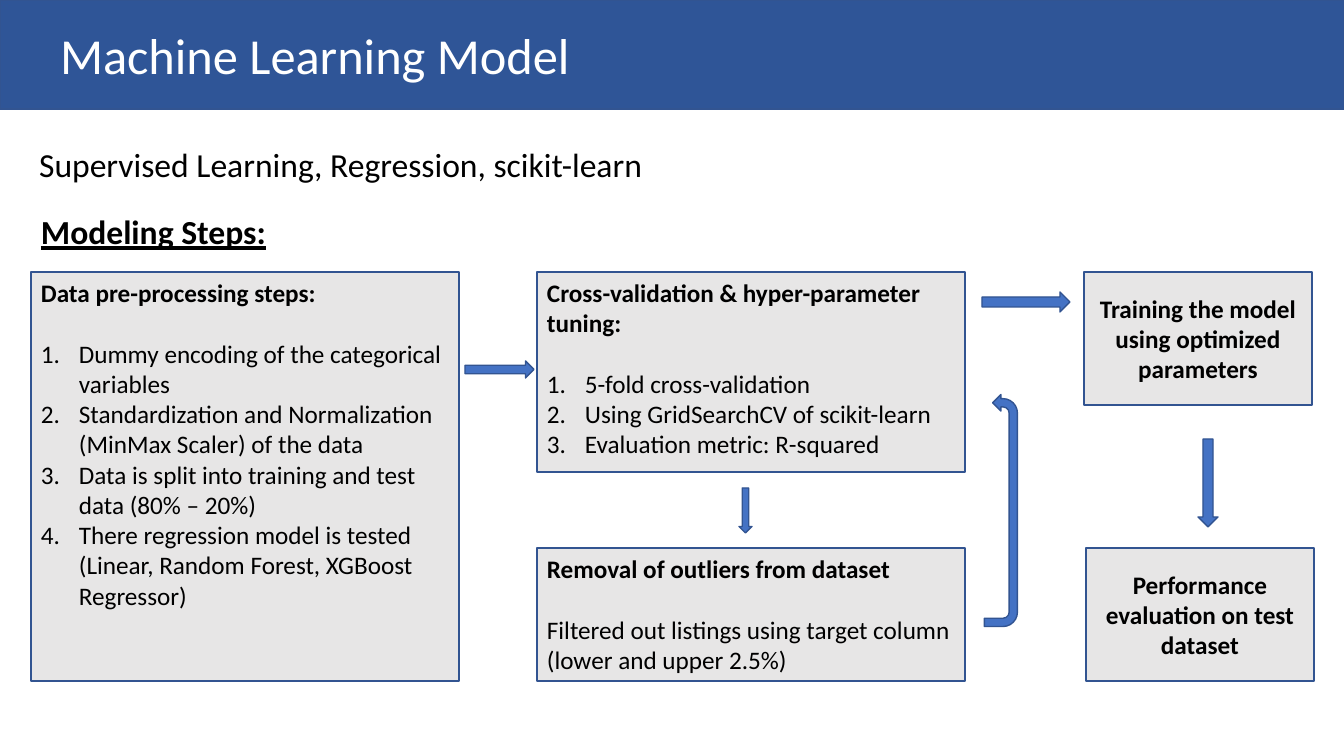
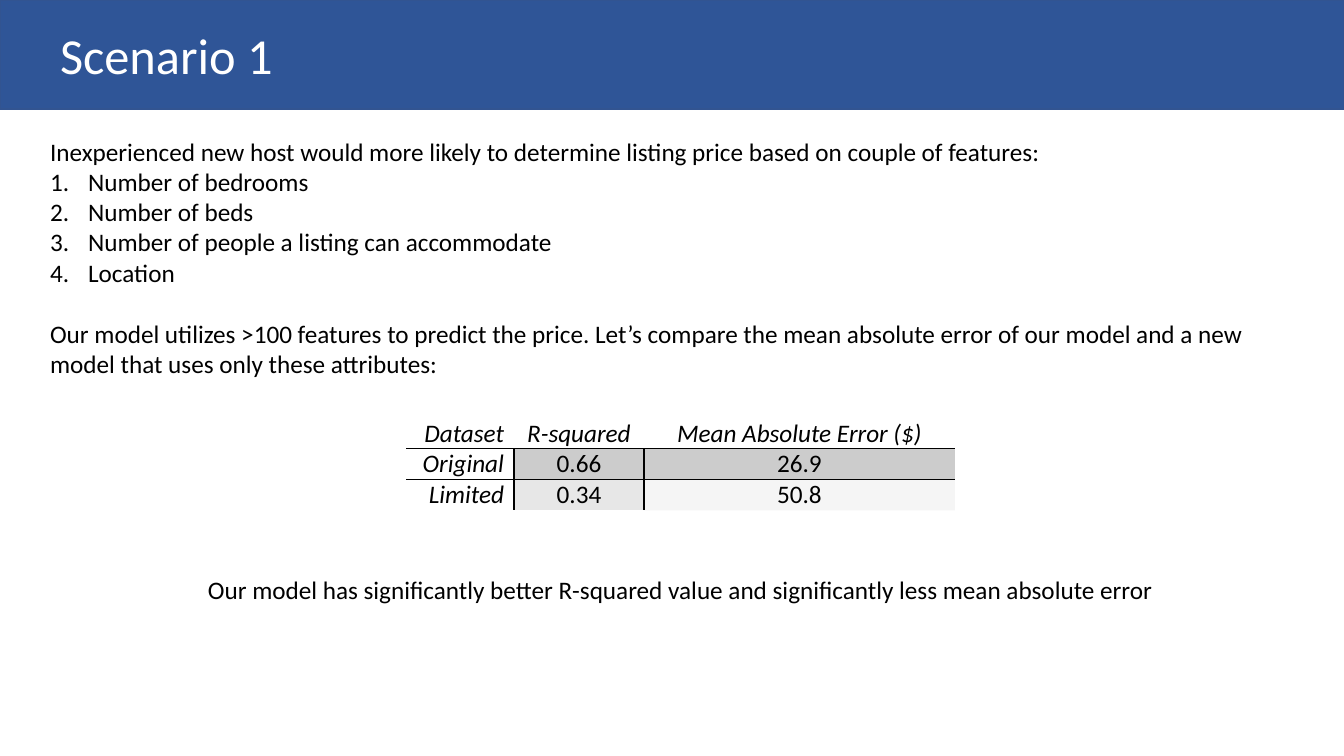
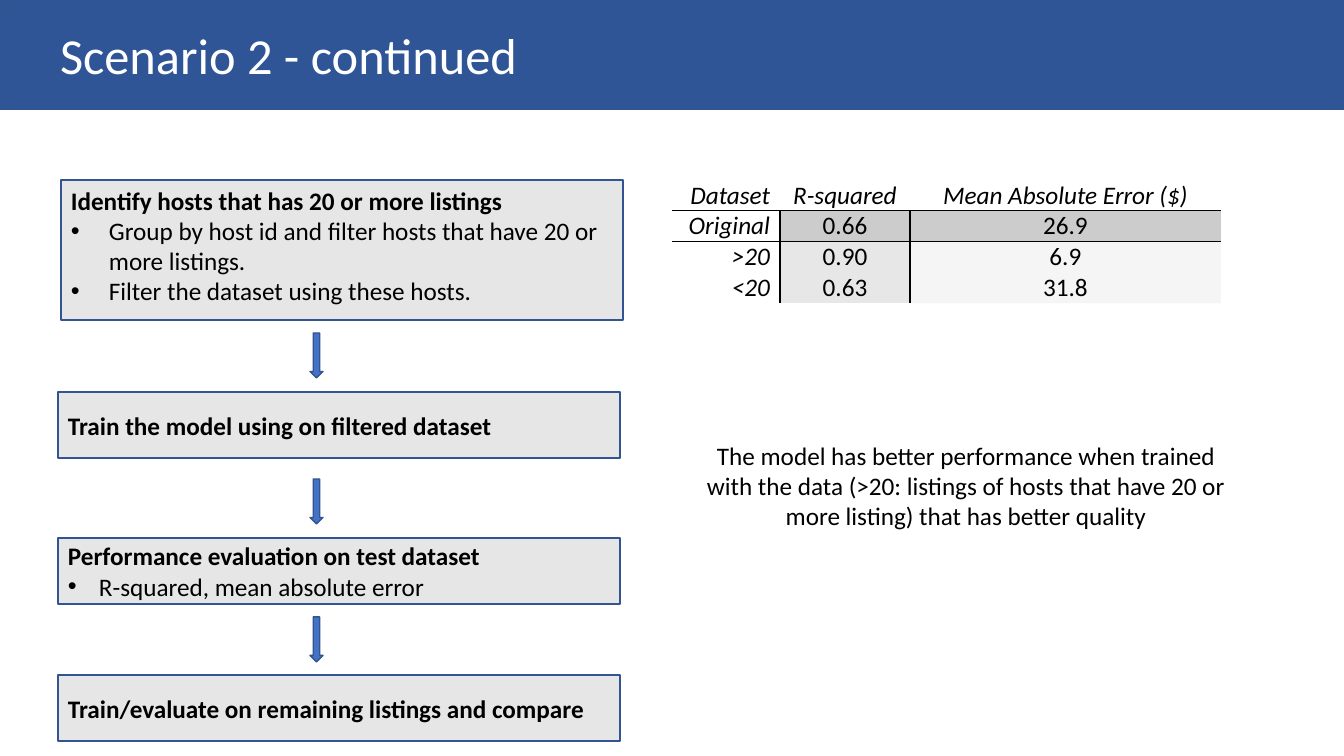
from lxml.etree import SubElement
from pptx import Presentation
from pptx.dml.color import RGBColor
from pptx.enum.shapes import MSO_SHAPE
from pptx.enum.text import MSO_ANCHOR, MSO_AUTO_SIZE, PP_ALIGN
from pptx.oxml.ns import qn
from pptx.util import Emu, Pt

EMU_PER_PX = 914400 / 100.8
WIDTH, HEIGHT, BAND_HEIGHT = 1344, 756, 109
FONT = "Calibri"
BLACK, WHITE = "000000", "FFFFFF"
NAVY, OUTLINE, BLUE, GRAY = "2F5597", "325491", "4472C4", "E7E6E6"
FIRST_ROW, OTHER_ROWS = "CCCCCC", "E7E7E7"
ROW_OPACITY = 40
TITLE_AND_BODY, TITLE_ONLY = 1, 5
NO_GRID_STYLE = "{2D5ABB26-0587-4C30-8999-92F81FD0307C}"
LIST_INDENT = 38
BLANK_LINE = 22
COLUMN_WIDTHS = (108, 130, 311)
ROW_HEIGHT = 30


def px(length):
    return Emu(round(length * EMU_PER_PX))


def color(value):
    return RGBColor.from_string(value)


def place(shape, left, top, width, height):
    shape.left, shape.top = px(left), px(top)
    shape.width, shape.height = px(width), px(height)


def paint(shape, fill):
    shape.fill.solid()
    shape.fill.fore_color.rgb = color(fill)
    shape.line.color.rgb = color(OUTLINE)
    shape.line.width = Pt(1)


def add_bullet(properties, bullet):
    if bullet is None:
        SubElement(properties, qn("a:buNone"))
    elif bullet == "1.":
        SubElement(properties, qn("a:buFont"), typeface="+mj-lt")
        SubElement(properties, qn("a:buAutoNum"), type="arabicPeriod")
    else:
        SubElement(properties, qn("a:buFont"), typeface="Arial")
        SubElement(properties, qn("a:buChar"), char=bullet)


def write(frame, text, size=18, fill=BLACK, bold=False, italic=False, underline=False,
          align=PP_ALIGN.LEFT, bullet=None, indent=LIST_INDENT, before=0):
    first = frame.paragraphs[0]
    paragraph = frame.add_paragraph() if first.text else first
    paragraph.alignment = align
    paragraph.space_before = Pt(before)
    properties = paragraph._p.get_or_add_pPr()
    hanging = px(indent) if bullet else 0
    properties.set("marL", str(hanging))
    properties.set("indent", str(-hanging))
    add_bullet(properties, bullet)
    run = paragraph.add_run()
    run.text = text
    font = run.font
    font.name, font.size = FONT, Pt(size)
    font.bold, font.italic, font.underline = bold, italic, underline
    font.color.rgb = color(fill)


def write_list(frame, items, bullet, before=0, indent=LIST_INDENT):
    for index, item in enumerate(items):
        write(frame, item, bullet=bullet, indent=indent, before=0 if index else before)


def add_slide(presentation, title, layout=TITLE_ONLY):
    slide = presentation.slides.add_slide(presentation.slide_layouts[layout])
    band = slide.shapes.title
    place(band, 0, 0, WIDTH, BAND_HEIGHT)
    paint(band, NAVY)
    frame = band.text_frame
    frame.auto_size = MSO_AUTO_SIZE.NONE
    frame.vertical_anchor = MSO_ANCHOR.MIDDLE
    frame.margin_left = px(60)
    write(frame, title, size=36, fill=WHITE)
    return slide


def body_frame(slide, *bounds):
    body = slide.placeholders[1]
    place(body, *bounds)
    body.text_frame.auto_size = MSO_AUTO_SIZE.NONE
    return body.text_frame


def add_label(slide, bounds, text, wrap=True, **text_format):
    frame = slide.shapes.add_textbox(*map(px, bounds)).text_frame
    frame.word_wrap = wrap
    write(frame, text, **text_format)


def add_box(slide, bounds, heading, middle=False, align=PP_ALIGN.LEFT):
    box = slide.shapes.add_shape(MSO_SHAPE.RECTANGLE, *map(px, bounds))
    box.shadow.inherit = False
    paint(box, GRAY)
    frame = box.text_frame
    frame.word_wrap = True
    frame.vertical_anchor = MSO_ANCHOR.MIDDLE if middle else MSO_ANCHOR.TOP
    write(frame, heading, bold=True, align=align)
    return frame


def add_arrow(slide, *bounds, down=False, kind=MSO_SHAPE.RIGHT_ARROW):
    arrow = slide.shapes.add_shape(kind, *map(px, bounds))
    arrow.shadow.inherit = False
    arrow.rotation = 90 if down else 0
    paint(arrow, BLUE)
    return arrow


def add_border(cell, side):
    line = SubElement(cell._tc.get_or_add_tcPr(), qn(f"a:ln{side}"), w=str(Pt(1)))
    fill = SubElement(line, qn("a:solidFill"))
    SubElement(fill, qn("a:srgbClr"), val=BLACK)


def fill_cell(cell, fill):
    cell.fill.solid()
    cell.fill.fore_color.rgb = color(fill)
    tint = cell._tc.tcPr.find(".//" + qn("a:srgbClr"))
    SubElement(tint, qn("a:alpha"), val=str(ROW_OPACITY * 1000))


def format_cell(cell, text, row, column):
    label = row == 0 or column == 0
    cell.margin_left = cell.margin_right = px(10)
    cell.margin_top = cell.margin_bottom = 0
    write(cell.text_frame, text, italic=label,
          align=PP_ALIGN.CENTER if column else PP_ALIGN.RIGHT)
    borders = (("L", row and column == 1), ("R", row and column == 0),
               ("T", row == 1), ("B", row == 0))
    for side, shown in borders:
        if shown:
            add_border(cell, side)
    if label:
        cell.fill.background()
    else:
        fill_cell(cell, FIRST_ROW if row == 1 else OTHER_ROWS)


def add_score_table(slide, left, top, scores):
    rows = [("Dataset", "R-squared", "Mean Absolute Error ($)"),
            ("Original", "0.66", "26.9"), *scores]
    bounds = (left, top, sum(COLUMN_WIDTHS), ROW_HEIGHT * len(rows))
    table = slide.shapes.add_table(len(rows), len(COLUMN_WIDTHS), *map(px, bounds)).table
    table.first_row = table.horz_banding = False
    table._tbl.tblPr.find(qn("a:tableStyleId")).text = NO_GRID_STYLE
    for column, width in zip(table.columns, COLUMN_WIDTHS):
        column.width = px(width)
    for row, values in enumerate(rows):
        table.rows[row].height = px(ROW_HEIGHT)
        for column, text in enumerate(values):
            format_cell(table.cell(row, column), text, row, column)


def build_model(presentation):
    slide = add_slide(presentation, "Machine Learning Model", TITLE_AND_BODY)
    write(body_frame(slide, 29, 139, 936, 50),
          "Supervised Learning, Regression, scikit-learn", size=24)
    add_label(slide, (31, 206, 248, 50), "Modeling Steps:", wrap=False,
              size=24, bold=True, underline=True)

    frame = add_box(slide, (31, 272, 428, 409), "Data pre-processing steps:")
    write_list(frame, (
        "Dummy encoding of the categorical variables",
        "Standardization and Normalization (MinMax Scaler) of the data",
        "Data is split into training and test data (80% – 20%)",
        "There regression model is tested (Linear, Random Forest, XGBoost Regressor)",
    ), "1.", before=BLANK_LINE)

    frame = add_box(slide, (537, 272, 428, 200), "Cross-validation & hyper-parameter tuning:")
    write_list(frame, (
        "5-fold cross-validation",
        "Using GridSearchCV of scikit-learn",
        "Evaluation metric: R-squared",
    ), "1.", before=BLANK_LINE)

    frame = add_box(slide, (537, 548, 428, 133), "Removal of outliers from dataset")
    write(frame, "Filtered out listings using target column (lower and upper 2.5%)",
          before=BLANK_LINE)

    for left, top, heading in (
        (1084, 272, "Training the model using optimized parameters"),
        (1086, 548, "Performance evaluation on test dataset"),
    ):
        add_box(slide, (left, top, 228, 133), heading, middle=True, align=PP_ALIGN.CENTER)

    add_arrow(slide, 465, 361, 69, 17)
    add_arrow(slide, 723, 504, 45, 13, down=True)
    add_arrow(slide, 982, 292, 88, 20)
    add_arrow(slide, 1164, 473, 88, 20, down=True)
    loop = add_arrow(slide, 885, 494, 232, 33, down=True, kind=MSO_SHAPE.U_TURN_ARROW)
    loop.element.spPr.get_or_add_xfrm().set("flipH", "1")


def build_first_scenario(presentation):
    slide = add_slide(presentation, "Scenario 1", TITLE_AND_BODY)
    frame = body_frame(slide, 40, 131, 1263, 254)
    write(frame, "Inexperienced new host would more likely to determine listing price "
                 "based on couple of features:")
    write_list(frame, (
        "Number of bedrooms",
        "Number of beds",
        "Number of people a listing can accommodate",
        "Location",
    ), "1.")
    write(frame, "Our model utilizes >100 features to predict the price. Let’s compare the "
                 "mean absolute error of our model and a new model that uses only these "
                 "attributes:", before=BLANK_LINE)
    add_score_table(slide, 406, 418, [("Limited", "0.34", "50.8")])
    add_label(slide, (198, 569, 969, 40),
              "Our model has significantly better R-squared value and significantly less "
              "mean absolute error", wrap=False)


def build_second_scenario(presentation):
    slide = add_slide(presentation, "Scenario 2 - continued")
    frame = add_box(slide, (61, 180, 562, 140), "Identify hosts that has 20 or more listings")
    write_list(frame, (
        "Group by host id and filter hosts that have 20 or more listings.",
        "Filter the dataset using these hosts.",
    ), "•")
    for top, heading, items in (
        (392, "Train the model using on filtered dataset", ()),
        (538, "Performance evaluation on test dataset", ("R-squared, mean absolute error",)),
        (675, "Train/evaluate on remaining listings and compare", ()),
    ):
        frame = add_box(slide, (58, top, 562, 66), heading, middle=True)
        write_list(frame, items, "•", indent=31)
    for top in (349, 495, 633):
        add_arrow(slide, 294, top, 45, 13, down=True)

    add_score_table(slide, 672, 180, [(">20", "0.90", "6.9"), ("<20", "0.63", "31.8")])
    add_label(slide, (685, 435, 562, 102),
              "The model has better performance when trained with the data (>20: listings of "
              "hosts that have 20 or more listing) that has better quality",
              align=PP_ALIGN.CENTER)


def main():
    presentation = Presentation()
    presentation.slide_width, presentation.slide_height = px(WIDTH), px(HEIGHT)
    build_model(presentation)
    build_first_scenario(presentation)
    build_second_scenario(presentation)
    presentation.save("out.pptx")


if __name__ == "__main__":
    main()
